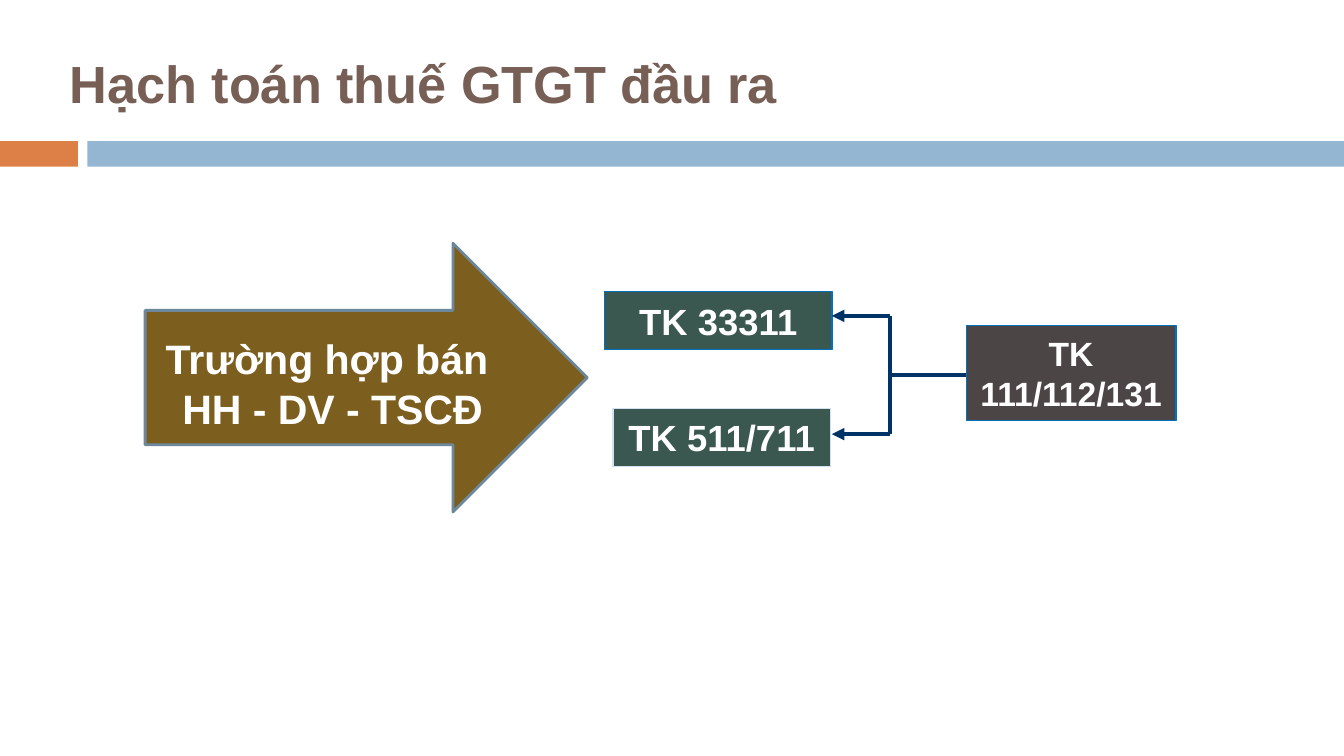
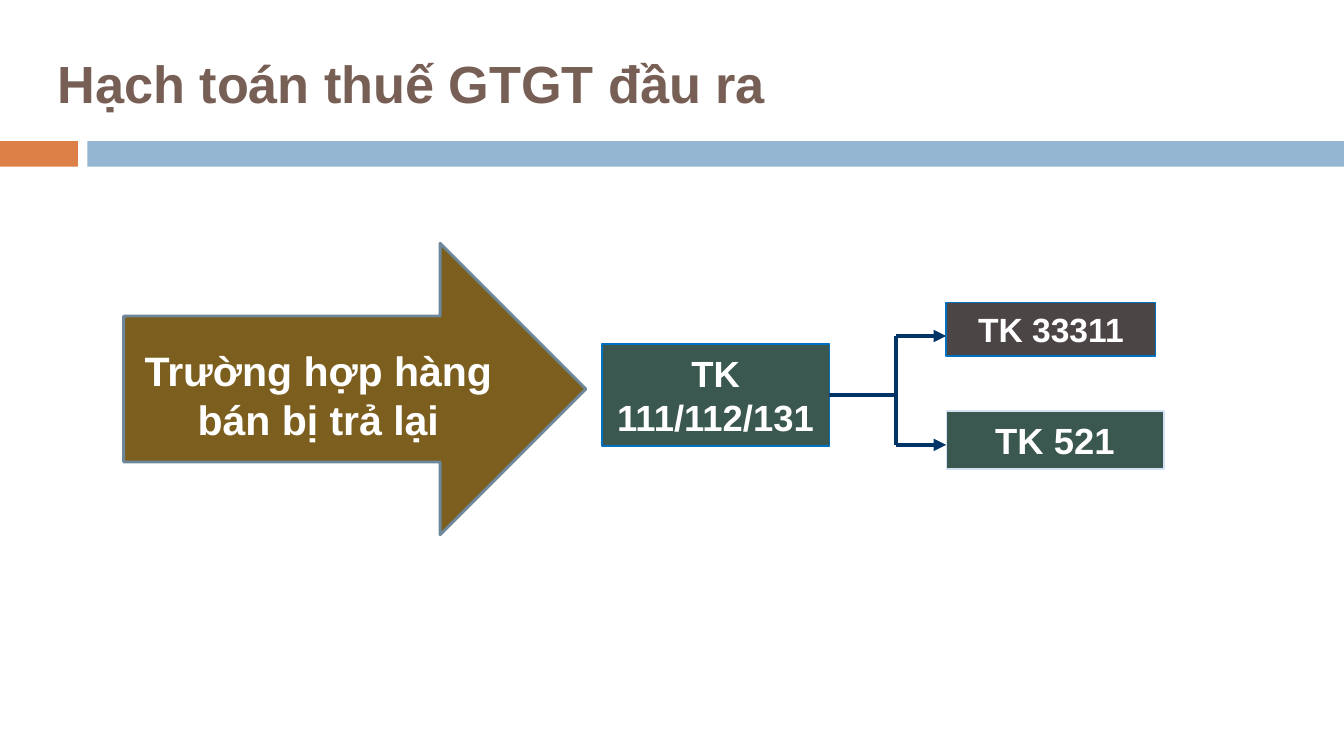
from dataclasses import dataclass

from lxml import etree
from pptx import Presentation
from pptx.dml.color import RGBColor
from pptx.enum.shapes import MSO_CONNECTOR, MSO_SHAPE
from pptx.enum.text import MSO_ANCHOR, PP_ALIGN
from pptx.oxml.ns import qn
from pptx.util import Inches, Pt

RECTANGLE = MSO_SHAPE.RECTANGLE
RIGHT_ARROW = MSO_SHAPE.RIGHT_ARROW
STRAIGHT = MSO_CONNECTOR.STRAIGHT
MIDDLE = MSO_ANCHOR.MIDDLE
LEFT, CENTER = PP_ALIGN.LEFT, PP_ALIGN.CENTER


@dataclass(frozen=True)
class Theme:
    font: str = "Arial"
    title: str = "775F55"
    accent: str = "DD8047"
    band: str = "94B6D2"
    light: str = "FFFFFF"
    case_fill: str = "7C5F1E"
    case_line: str = "6D879B"
    green: str = "3A5750"
    brown: str = "4C4545"
    blue_edge: str = "0070C0"
    pale_edge: str = "D2E2F2"
    flow: str = "003366"
    title_size: float = 28
    case_size: float = 22
    account_size: float = 19.5
    small_size: float = 18


def write_text(shape, text, size, color, font, align=CENTER, top_inset=0.05):
    """Fill the shape with bold text, one paragraph for each line."""
    frame = shape.text_frame
    frame.word_wrap = True
    frame.vertical_anchor = MIDDLE
    frame.margin_top = Inches(top_inset)
    for index, line in enumerate(text.split("\n")):
        para = frame.add_paragraph() if index else frame.paragraphs[0]
        para.alignment = align
        span = para.add_run()
        span.text = line
        span.font.name = font
        span.font.size = Pt(size)
        span.font.bold = True
        span.font.color.rgb = RGBColor.from_string(color)


class AccountDeck:
    def __init__(self, theme):
        self.theme = theme
        self.deck = Presentation()
        self.deck.slide_width = Inches(10)
        self.deck.slide_height = Inches(10) * 9 // 16
        self.page = None

    def new_page(self, title, title_left):
        theme = self.theme
        self.page = self.deck.slides.add_slide(self.deck.slide_layouts[6])
        self.shape(RECTANGLE, (0, 1.05, 0.58, 0.19), theme.accent)
        self.shape(RECTANGLE, (0.65, 1.05, 9.35, 0.19), theme.band)
        box = self.page.shapes.add_textbox(
            *map(Inches, (title_left, 0.31, 6.69, 0.61)))
        write_text(box, title, theme.title_size, theme.title, theme.font, align=LEFT)

    def shape(self, kind, place, fill, edge=None, weight=0.75):
        shape = self.page.shapes.add_shape(kind, *map(Inches, place))
        shape.shadow.inherit = False
        shape.fill.solid()
        shape.fill.fore_color.rgb = RGBColor.from_string(fill)
        if edge:
            shape.line.color.rgb = RGBColor.from_string(edge)
            shape.line.width = Pt(weight)
        else:
            shape.line.fill.background()
        return shape

    def case_arrow(self, text, place):
        theme = self.theme
        arrow = self.shape(RIGHT_ARROW, place, theme.case_fill, theme.case_line, 1.5)
        write_text(arrow, text, theme.case_size, theme.light, theme.font, top_inset=0.13)

    def account(self, text, place, fill, edge, size):
        box = self.shape(RECTANGLE, place, fill, edge)
        write_text(box, text, size, self.theme.light, self.theme.font)

    def line(self, start, end, arrow=False):
        line = self.page.shapes.add_connector(STRAIGHT, *map(Inches, start + end))
        line.line.color.rgb = RGBColor.from_string(self.theme.flow)
        line.line.width = Pt(2.25)
        if arrow:
            etree.SubElement(line.line._get_or_add_ln(), qn("a:tailEnd"), type="triangle")
        etree.SubElement(line._element.spPr, qn("a:effectLst"))

    def fork(self, root, bus_x, tip_x, tip_ys):
        """Join one account to several: a stem, an upright bar and arrows."""
        self.line(root, (bus_x, root[1]))
        self.line((bus_x, min(tip_ys)), (bus_x, max(tip_ys)))
        for y in tip_ys:
            self.line((bus_x, y), (tip_x, y), arrow=True)


def main():
    theme = Theme()
    green_blue = (theme.green, theme.blue_edge, theme.account_size)
    green_pale = (theme.green, theme.pale_edge, theme.account_size)
    brown_blue = (theme.brown, theme.blue_edge, theme.small_size)
    title = "Hạch toán thuế GTGT đầu ra"
    slides = AccountDeck(theme)

    slides.new_page(title, 0.42)
    slides.account("TK 511/711", (4.56, 3.04, 1.62, 0.43), *green_pale)
    slides.account("TK 33311", (4.5, 2.17, 1.69, 0.43), *green_blue)
    slides.account("TK 111/112/131", (7.19, 2.42, 1.56, 0.71), *brown_blue)
    slides.fork(root=(7.19, 2.79), bus_x=6.62, tip_x=6.19, tip_ys=(2.35, 3.23))
    slides.case_arrow("Trường hợp bán \nHH - DV - TSCĐ", (1.08, 1.81, 3.29, 2))

    slides.new_page(title, 0.33)
    slides.account("TK 521", (7.04, 3.06, 1.62, 0.43), *green_pale)
    slides.account("TK 111/112/131", (4.48, 2.56, 1.69, 0.76), *green_blue)
    slides.account("TK 33311", (7.04, 2.25, 1.56, 0.4), *brown_blue)
    slides.fork(root=(6.17, 2.94), bus_x=6.67, tip_x=7.04, tip_ys=(2.5, 3.31))
    slides.case_arrow("Trường hợp hàng bán bị trả lại", (0.92, 1.81, 3.44, 2.17))

    slides.deck.save("out.pptx")


if __name__ == "__main__":
    main()
